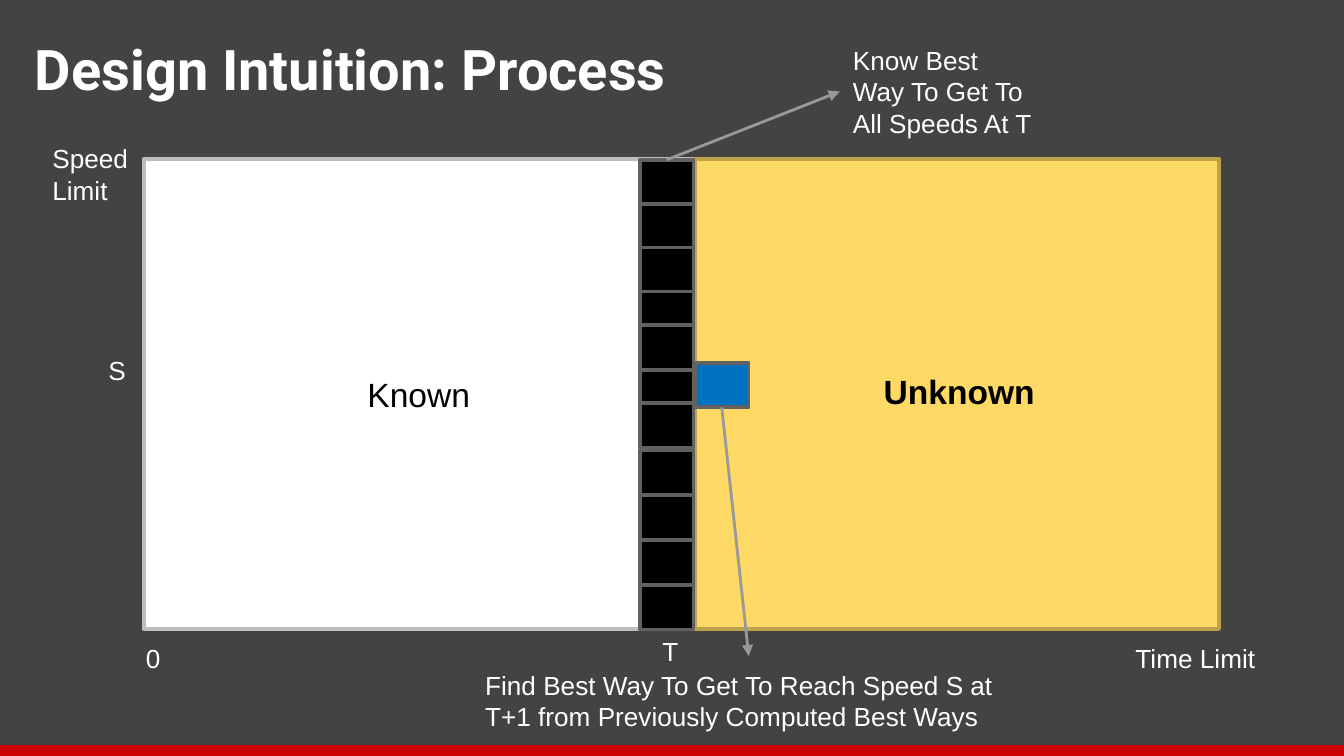
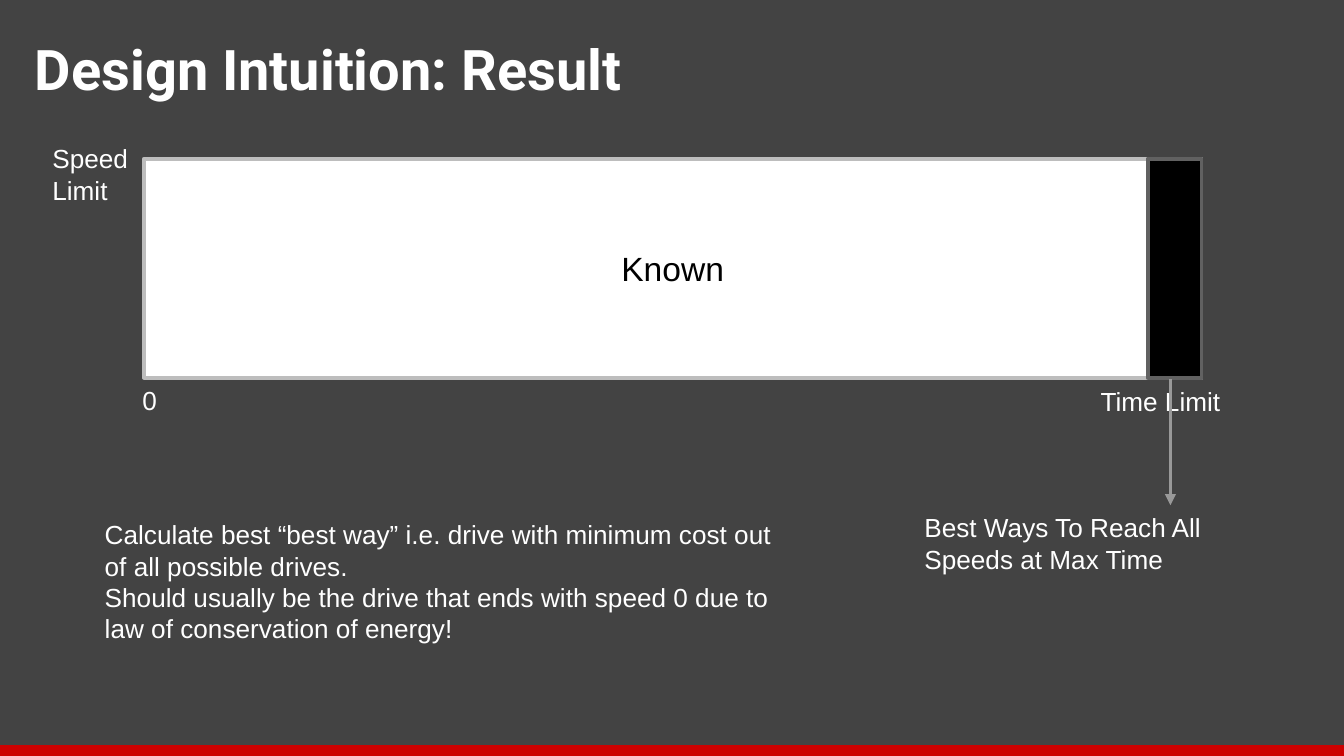
from dataclasses import dataclass
from lxml.etree import SubElement
from pptx import Presentation
from pptx.dml.color import RGBColor
from pptx.enum.shapes import MSO_CONNECTOR, MSO_SHAPE
from pptx.enum.text import MSO_ANCHOR, MSO_AUTO_SIZE, PP_ALIGN
from pptx.oxml.ns import qn
from pptx.util import Cm, Pt


@dataclass(frozen=True)
class Theme:
    back: str = "434343"
    band: str = "CC0000"
    white: str = "FFFFFF"
    black: str = "000000"
    silver: str = "BDBDBD"
    gold: str = "FFD966"
    bronze: str = "BDA14B"
    edge: str = "616161"
    blue: str = "0070C0"
    arrow: str = "999999"
    head: str = "Roboto"
    body: str = "Arial"
    title: int = 30
    large: int = 18
    small: int = 14


class Deck:
    def __init__(self, theme):
        self.theme = theme
        self.file = Presentation()
        self.file.slide_width = Cm(25.4)
        self.file.slide_height = Cm(14.29)
        self.slide = None

    def page(self, title, width):
        t = self.theme
        self.slide = self.file.slides.add_slide(self.file.slide_layouts[6])
        fill = self.slide.background.fill
        fill.solid()
        fill.fore_color.rgb = RGBColor.from_string(t.back)
        self.box(0, 14.09, 25.4, 0.2, t.band, t.band, 0.75)
        frame = self.text(title, 0.41, 0.41, width, 1.6, t.title, t.head, bold=True)
        frame.auto_size = MSO_AUTO_SIZE.NONE
        frame.margin_top = frame.margin_bottom = Cm(0.25)

    def style(self, frame, text, size, face, color, bold=False, align=PP_ALIGN.LEFT):
        frame.word_wrap = True
        frame.text = text
        for para in frame.paragraphs:
            para.alignment = align
            font = para.font
            font.name, font.size, font.bold = face, Pt(size), bold
            font.color.rgb = RGBColor.from_string(color)

    def text(self, text, x, y, w, h, size=None, face=None, color=None,
             bold=False, align=PP_ALIGN.LEFT):
        t = self.theme
        frame = self.slide.shapes.add_textbox(Cm(x), Cm(y), Cm(w), Cm(h)).text_frame
        self.style(frame, text, size or t.small, face or t.body,
                   color or t.white, bold, align)
        frame.auto_size = MSO_AUTO_SIZE.SHAPE_TO_FIT_TEXT
        return frame

    def box(self, x, y, w, h, fill, line, weight=2, text=None):
        t = self.theme
        shape = self.slide.shapes.add_shape(
            MSO_SHAPE.RECTANGLE, Cm(x), Cm(y), Cm(w), Cm(h))
        shape.shadow.inherit = False
        shape.fill.solid()
        shape.fill.fore_color.rgb = RGBColor.from_string(fill)
        shape.line.color.rgb = RGBColor.from_string(line)
        shape.line.width = Pt(weight)
        if text:
            shape.text_frame.vertical_anchor = MSO_ANCHOR.MIDDLE
            self.style(shape.text_frame, text, t.large, t.body, t.black,
                       align=PP_ALIGN.CENTER)
        return shape

    def arrow(self, x1, y1, x2, y2, source=None, side=0):
        link = self.slide.shapes.add_connector(
            MSO_CONNECTOR.STRAIGHT, Cm(x1), Cm(y1), Cm(x2), Cm(y2))
        if source is not None:
            link.begin_connect(source, side)
        link.line.color.rgb = RGBColor.from_string(self.theme.arrow)
        link.line.width = Pt(1.5)
        props = link._element.spPr
        SubElement(props.find(qn("a:ln")), qn("a:tailEnd"), type="triangle")
        SubElement(props, qn("a:effectLst"))

    def chart(self, width, height):
        t = self.theme
        self.box(2.72, 3, width, height, t.white, t.silver, text="Known")
        self.text("Speed Limit", 0.74, 2.57, 2.13, 1.45)

    def cell(self, x, y, fill, height=0.84):
        return self.box(x, y, 1.02, height, fill, self.theme.edge)


def process(deck):
    t = deck.theme
    deck.page("Design Intuition: Process", 13.72)
    deck.chart(10.39, 8.89)
    deck.box(13.13, 3, 9.91, 8.89, t.gold, t.bronze)

    upper = [3.02 + 0.83 * i for i in range(4)]
    lower = [8.51 + 0.85 * i for i in range(4)]
    cells = [deck.cell(12.09, y, t.black)
             for y in upper + [6.78, 7.62] + lower + [6.15]]
    state = deck.cell(13.13, 6.86, t.blue)

    for text, x, y, w in (("0", 2.51, 12.01, 0.84), ("Time Limit", 21.21, 12.01, 2.95),
                          ("T", 12.27, 11.89, 0.84), ("S", 1.8, 6.58, 0.84)):
        deck.text(text, x, y, w, 0.86)
    deck.text("Unknown", 16.43, 6.88, 3.4, 1.02, t.large, color=t.black,
              bold=True, align=PP_ALIGN.CENTER)
    deck.text("Know Best Way To Get To All Speeds At T", 15.87, 0.71, 3.92, 2.06)
    deck.text("Find Best Way To Get To Reach Speed S at T+1 from "
              "Previously Computed Best Ways", 8.92, 12.52, 10.44, 1.45)
    deck.arrow(12.6, 3, 15.87, 1.73, cells[0], 0)
    deck.arrow(13.64, 7.7, 14.15, 12.4, state, 2)


def result(deck):
    t = deck.theme
    deck.page("Design Intuition: Result", 15.62)
    deck.chart(19.99, 4.14)
    deck.cell(21.69, 3, t.black, 4.14)
    deck.text("0", 2.44, 7.14, 0.84, 0.86)
    deck.text("Time Limit", 20.55, 7.16, 2.95, 0.86)
    deck.arrow(22.12, 7.16, 22.12, 9.55)
    deck.text("Best Ways To Reach All Speeds at Max Time", 17.22, 9.55, 6.45, 1.45)
    deck.text("Calculate best “best way” i.e. drive with minimum cost out of all "
              "possible drives.\nShould usually be the drive that ends with speed 0 "
              "due to law of conservation of energy!", 1.73, 9.68, 13.56, 2.64)


def main():
    deck = Deck(Theme())
    process(deck)
    result(deck)
    deck.file.save("out.pptx")


if __name__ == "__main__":
    main()
